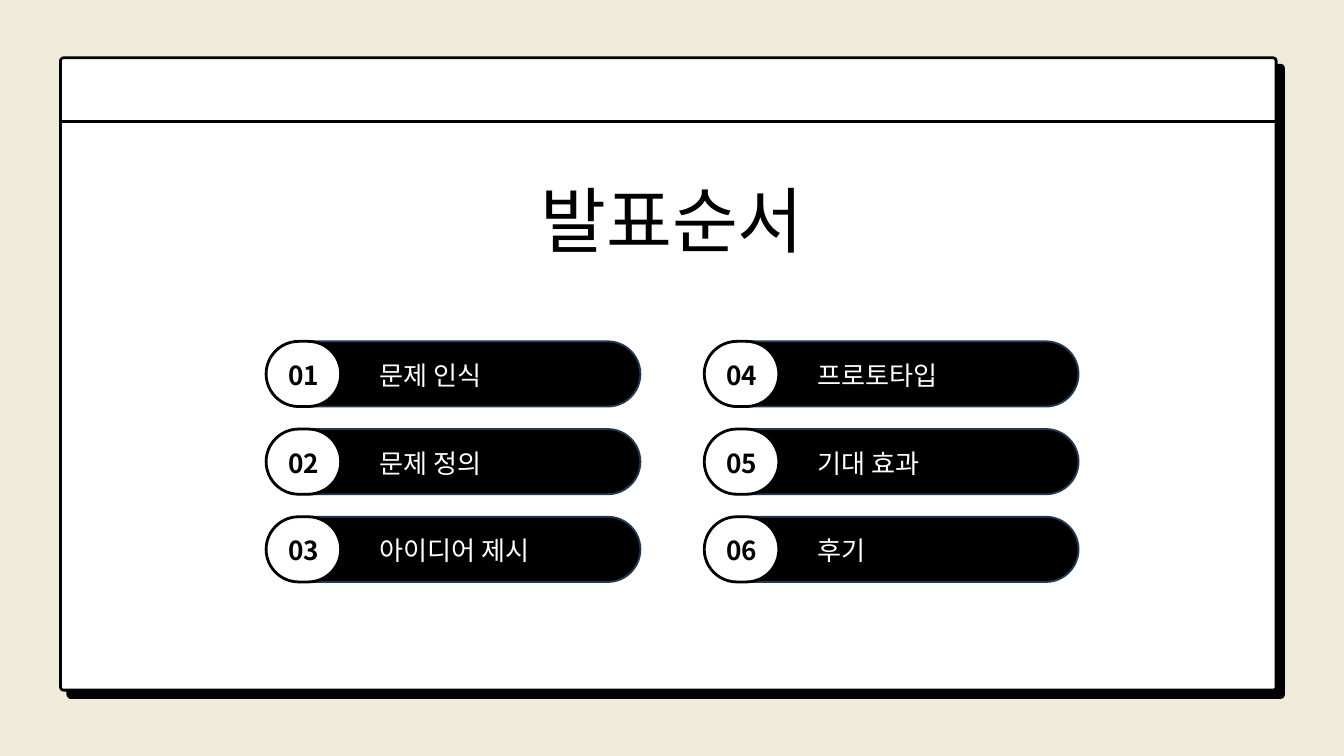
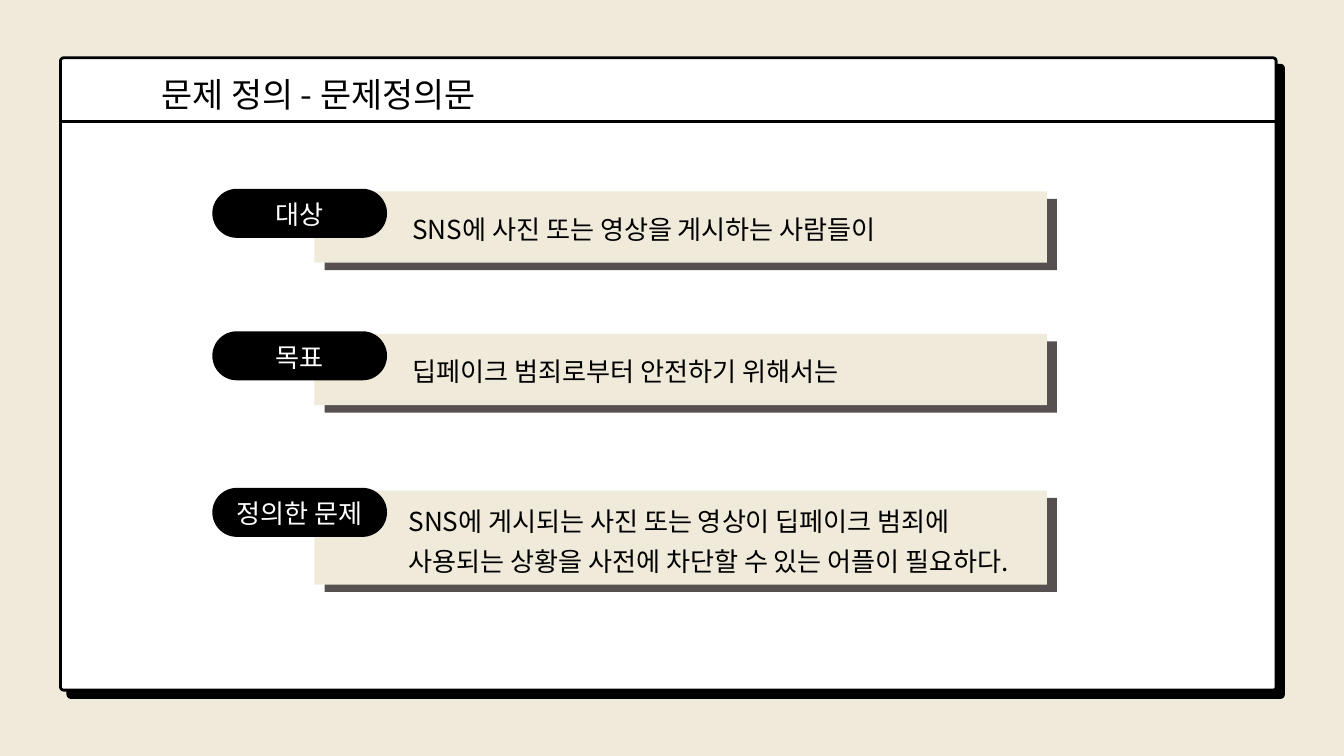
import pptx
import pptx.dml.color
import pptx.enum.shapes
import pptx.enum.text
import pptx.oxml.ns
import pptx.util
from lxml import etree

UNIT = pptx.util.Inches(1)  # one cell of the 20 by 11.25 slide grid
COLUMNS, ROWS = 20, 11.25
FONT = "Noto Sans CJK KR"
BLACK, WHITE, CREAM, GREY, NAVY = "000000", "FFFFFF", "F0EADA", "575050", "233953"
BODY_SIZE, BODY_LEADING = 28, 42.8
TITLE_ONLY = 5

WINDOW = (0.9, 0.86, 18.09, 9.41)
WINDOW_OFFSET = 0.11
BAR_BOTTOM = 1.81

AGENDA = ["문제 인식", "문제 정의", "아이디어 제시", "프로토타입", "기대 효과", "후기"]
AGENDA_ROWS = 3
AGENDA_LEFT, AGENDA_TOP = 3.96, 5.08
AGENDA_COLUMN_STEP, AGENDA_ROW_STEP = 6.52, 1.305
ITEM_WIDTH, ITEM_HEIGHT, BADGE_WIDTH = 5.57, 0.97, 1.11

CARD_LEFT, CARD_WIDTH = 4.68, 10.9
LEFT = pptx.enum.text.PP_ALIGN.LEFT
CENTER = pptx.enum.text.PP_ALIGN.CENTER
# label, lines, card top, card height, text left, text width, alignment
CARDS = [
    ("대상", ["SNS에 사진 또는 영상을 게시하는 사람들이"], 2.85, 1.06, 5.49, 8.19, CENTER),
    ("목표", ["딥페이크 범죄로부터 안전하기 위해서는"], 4.97, 1.06, 5.21, 8.19, CENTER),
    ("정의한 문제",
     ["SNS에 게시되는 사진 또는 영상이 딥페이크 범죄에",
      "사용되는 상황을 사전에 차단할 수 있는 어플이 필요하다."],
     7.3, 1.4, 6.08, 10.76, LEFT),
]


def color(hex_string):
    return pptx.dml.color.RGBColor.from_string(hex_string)


def grid(*cells):
    return [round(cell * UNIT) for cell in cells]


def add_block(slide, box, fill, line=None, line_width=3, rounding=0):
    """Add a rectangle; rounding is the corner radius as a share of the short side."""
    kinds = pptx.enum.shapes.MSO_SHAPE
    kind = kinds.ROUNDED_RECTANGLE if rounding else kinds.RECTANGLE
    shape = slide.shapes.add_shape(kind, *grid(*box))
    if rounding:
        shape.adjustments[0] = rounding
    shape.shadow.inherit = False
    shape.fill.solid()
    shape.fill.fore_color.rgb = color(fill)
    if line:
        shape.line.color.rgb = color(line)
        shape.line.width = pptx.util.Pt(line_width)
    else:
        shape.line.fill.background()
    return shape


def add_rule(slide, left, right, top, width):
    connector = slide.shapes.add_connector(
        pptx.enum.shapes.MSO_CONNECTOR.STRAIGHT, *grid(left, top, right, top))
    connector.line.color.rgb = color(BLACK)
    connector.line.width = pptx.util.Pt(width)
    properties = connector.element.spPr
    etree.SubElement(properties, pptx.oxml.ns.qn("a:effectLst"))


def write(shape, lines, text_color, size=BODY_SIZE, leading=BODY_LEADING,
          alignment=LEFT, bold=False):
    frame = shape.text_frame
    frame.text = "\n".join(lines)
    frame.word_wrap = True
    frame.auto_size = pptx.enum.text.MSO_AUTO_SIZE.NONE
    frame.vertical_anchor = pptx.enum.text.MSO_ANCHOR.TOP
    frame.margin_left = frame.margin_right = frame.margin_top = frame.margin_bottom = 0
    for paragraph in frame.paragraphs:
        paragraph.alignment = alignment
        paragraph.line_spacing = pptx.util.Pt(leading)
        for run in paragraph.runs:
            run.font.name = FONT
            run.font.size = pptx.util.Pt(size)
            run.font.bold = bold
            run.font.color.rgb = color(text_color)
            latin = run.font._element.find(pptx.oxml.ns.qn("a:latin"))
            east_asian = etree.Element(pptx.oxml.ns.qn("a:ea"), typeface=FONT)
            latin.addnext(east_asian)


def add_text(slide, box, lines, text_color, **style):
    write(slide.shapes.add_textbox(*grid(*box)), lines, text_color, **style)


def add_window_slide(presentation, rule_width):
    """Add a slide with the framed window and its title bar."""
    slide = presentation.slides.add_slide(presentation.slide_layouts[TITLE_ONLY])
    left, top, width, height = WINDOW
    shade = (left + WINDOW_OFFSET, top + WINDOW_OFFSET, width, height)
    for box, fill in ((shade, BLACK), (WINDOW, WHITE)):
        add_block(slide, box, fill, BLACK, rounding=0.005)
    add_rule(slide, left, left + width, BAR_BOTTOM, rule_width)
    return slide


def set_title(slide, box, text, **style):
    """Place the title above the window that was drawn after it."""
    title = slide.shapes.title
    title.left, title.top, title.width, title.height = grid(*box)
    write(title, [text], BLACK, **style)
    title.element.getparent().append(title.element)


def add_agenda_item(slide, left, top, number, label):
    add_block(slide, (left, top, ITEM_WIDTH, ITEM_HEIGHT), BLACK, NAVY, 2, rounding=0.5)
    add_block(slide, (left, top, BADGE_WIDTH, ITEM_HEIGHT), WHITE, BLACK, rounding=0.5)
    text_top = top + 0.14
    add_text(slide, (left, text_top, BADGE_WIDTH, 0.58), [f"{number:02}"], BLACK,
             alignment=CENTER, bold=True)
    add_text(slide, (left + 1.69, text_top, 3.7, 0.58), [label], WHITE)


def add_card(slide, label, lines, top, height, text_left, text_width, alignment):
    add_block(slide, (CARD_LEFT + 0.15, top + 0.11, CARD_WIDTH, height), GREY)
    add_block(slide, (CARD_LEFT, top, CARD_WIDTH, height), CREAM)
    text_top = top + (0.19 if len(lines) == 1 else 0.09)
    add_text(slide, (text_left, text_top, text_width, 0.58 * len(lines)), lines, BLACK,
             alignment=alignment)
    tab_left, tab_width = CARD_LEFT - 1.52, 2.6
    add_block(slide, (tab_left, top - 0.04, tab_width, 0.73), BLACK, rounding=0.5)
    add_text(slide, (tab_left, top - 0.02, tab_width, 0.58), [label], WHITE,
             alignment=CENTER)


def build_agenda(presentation):
    slide = add_window_slide(presentation, rule_width=3)
    set_title(slide, (6.09, 2.41, 7.82, 1.44), "발표순서",
              size=76.7, leading=107.4, alignment=CENTER)
    for index, label in enumerate(AGENDA):
        column, row = divmod(index, AGENDA_ROWS)
        add_agenda_item(slide, AGENDA_LEFT + column * AGENDA_COLUMN_STEP,
                        AGENDA_TOP + row * AGENDA_ROW_STEP, index + 1, label)


def build_problem_statement(presentation):
    slide = add_window_slide(presentation, rule_width=4)
    set_title(slide, (2.4, 1, 7.55, 0.66), "문제 정의 - 문제정의문", size=36.2, leading=50.6)
    for card in CARDS:
        add_card(slide, *card)


def main():
    presentation = pptx.Presentation()
    presentation.slide_width, presentation.slide_height = grid(COLUMNS, ROWS)
    background = presentation.slide_master.background.fill
    background.solid()
    background.fore_color.rgb = color(CREAM)
    build_agenda(presentation)
    build_problem_statement(presentation)
    presentation.save("out.pptx")


if __name__ == "__main__":
    main()
